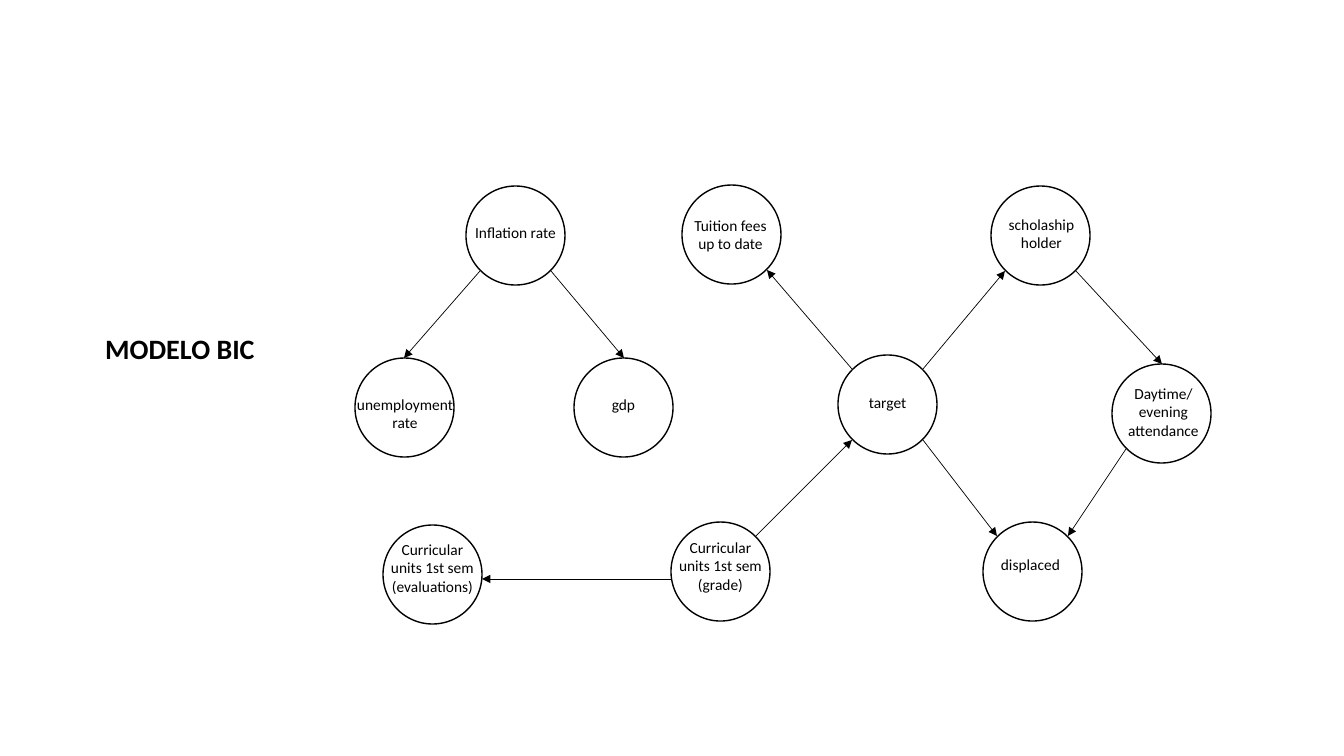
from collections import namedtuple
from math import sqrt

from lxml.etree import SubElement
from pptx import Presentation
from pptx.dml.color import RGBColor
from pptx.enum.shapes import MSO_CONNECTOR as CONN, MSO_SHAPE as SHAPE
from pptx.enum.text import MSO_ANCHOR as ANCHOR, PP_ALIGN as ALIGN
from pptx.oxml.ns import qn
from pptx.util import Emu, Pt

BLACK = RGBColor(0x00, 0x00, 0x00)
WHITE = RGBColor(0xFF, 0xFF, 0xFF)
FONT = "Calibri"
DIAMETER = 99
DIAG = sqrt(0.5)

# Points on a circle, as offsets from its centre in radii
SITES = {"top": (0, -1), "tl": (-DIAG, -DIAG), "tr": (DIAG, -DIAG),
         "bl": (-DIAG, DIAG), "br": (DIAG, DIAG)}

# Circle corner, label corner and width, label paragraphs, number of lines shown
Node = namedtuple("Node", "x y label_x label_y label_w paras lines align",
                  defaults=[1, ALIGN.CENTER])
NODES = {
    "target": Node(838, 355, 859, 388, 105, ["target"], align=ALIGN.LEFT),
    "scholarship": Node(991, 186, 989, 210, 105, ["scholaship", "holder"], 2),
    "attendance": Node(1112, 364, 1106, 379, 115, ["Daytime/", "evening attendance"], 3),
    "displaced": Node(983, 522, 973, 550, 115, ["displaced"]),
    "tuition": Node(682, 185, 678, 211, 105, ["Tuition fees up to date"], 2),
    "evaluations": Node(383, 525, 375, 535, 115, ["Curricular units 1st sem (evaluations)"], 3),
    "grade": Node(671, 522, 663, 533, 115, ["Curricular units 1st sem (grade)"], 3),
    "inflation": Node(466, 186, 458, 218, 115, ["Inflation rate"]),
    "unemployment": Node(355, 358, 342, 390, 126, ["unemployment rate"], 2),
    "gdp": Node(574, 358, 566, 390, 115, ["gdp"]),
}
EDGES = [
    ("inflation", "bl", "unemployment", "top"),
    ("inflation", "br", "gdp", "top"),
    ("grade", "tr", "target", "bl"),
    ("target", "br", "displaced", "tl"),
    ("attendance", "bl", "displaced", "tr"),
    ("scholarship", "br", "attendance", "top"),
    ("target", "tr", "scholarship", "bl"),
    ("target", "tl", "tuition", "br"),
]
LEVEL_ARROW_Y = 579


def px(n):
    return Emu(round(n * 914400 / 100.8))


def add_run(p, text, size, bold=False):
    r = p.add_run()
    r.text = text
    r.font.name, r.font.size, r.font.bold = FONT, Pt(size), bold
    r.font.color.rgb = BLACK


def set_title(s, text, x, y, w, h):
    sp = s.shapes.title
    sp.left, sp.top, sp.width, sp.height = map(px, (x, y, w, h))
    tf = sp.text_frame
    tf.word_wrap = True
    tf.vertical_anchor = ANCHOR.TOP
    p = tf.paragraphs[0]
    p.alignment, p.line_spacing = ALIGN.LEFT, 1.0
    add_run(p, text, 20, bold=True)


def add_circle(s, node):
    sp = s.shapes.add_shape(SHAPE.OVAL, px(node.x), px(node.y), px(DIAMETER), px(DIAMETER))
    sp.shadow.inherit = False
    sp.fill.solid()
    sp.fill.fore_color.rgb = WHITE
    sp.line.color.rgb = BLACK
    sp.line.width = Pt(1)


def add_label(s, node):
    sp = s.shapes.add_textbox(px(node.label_x), px(node.label_y),
                              px(node.label_w), px(10 + 19 * node.lines))
    tf = sp.text_frame
    tf.word_wrap = True
    for i, text in enumerate(node.paras):
        p = tf.add_paragraph() if i else tf.paragraphs[0]
        p.alignment = node.align
        add_run(p, text, 11)


def site_point(name, site):
    node, radius = NODES[name], DIAMETER / 2
    dx, dy = SITES[site]
    return round(node.x + radius * (1 + dx)), round(node.y + radius * (1 + dy))


def add_arrow(s, start, end):
    sp = s.shapes.add_connector(CONN.STRAIGHT, *map(px, start + end))
    sp.line.color.rgb = BLACK
    sp.line.width = Pt(0.5)
    SubElement(sp.line._get_or_add_ln(), qn("a:tailEnd"), type="triangle")
    SubElement(sp._element.spPr, qn("a:effectLst"))


def main():
    prs = Presentation()
    prs.slide_width, prs.slide_height = px(1344), px(756)
    s = prs.slides.add_slide(prs.slide_layouts[5])

    # Heading
    set_title(s, "MODELO BIC", 95, 326, 172, 44)

    # Circles, then their labels on top
    for node in NODES.values():
        add_circle(s, node)
    for node in NODES.values():
        add_label(s, node)

    # Dependencies between variables
    for source, out_site, dest, in_site in EDGES:
        add_arrow(s, site_point(source, out_site), site_point(dest, in_site))
    add_arrow(s, (NODES["grade"].x + 1, LEVEL_ARROW_Y),
              (NODES["evaluations"].x + DIAMETER, LEVEL_ARROW_Y))

    prs.save("out.pptx")


main()
